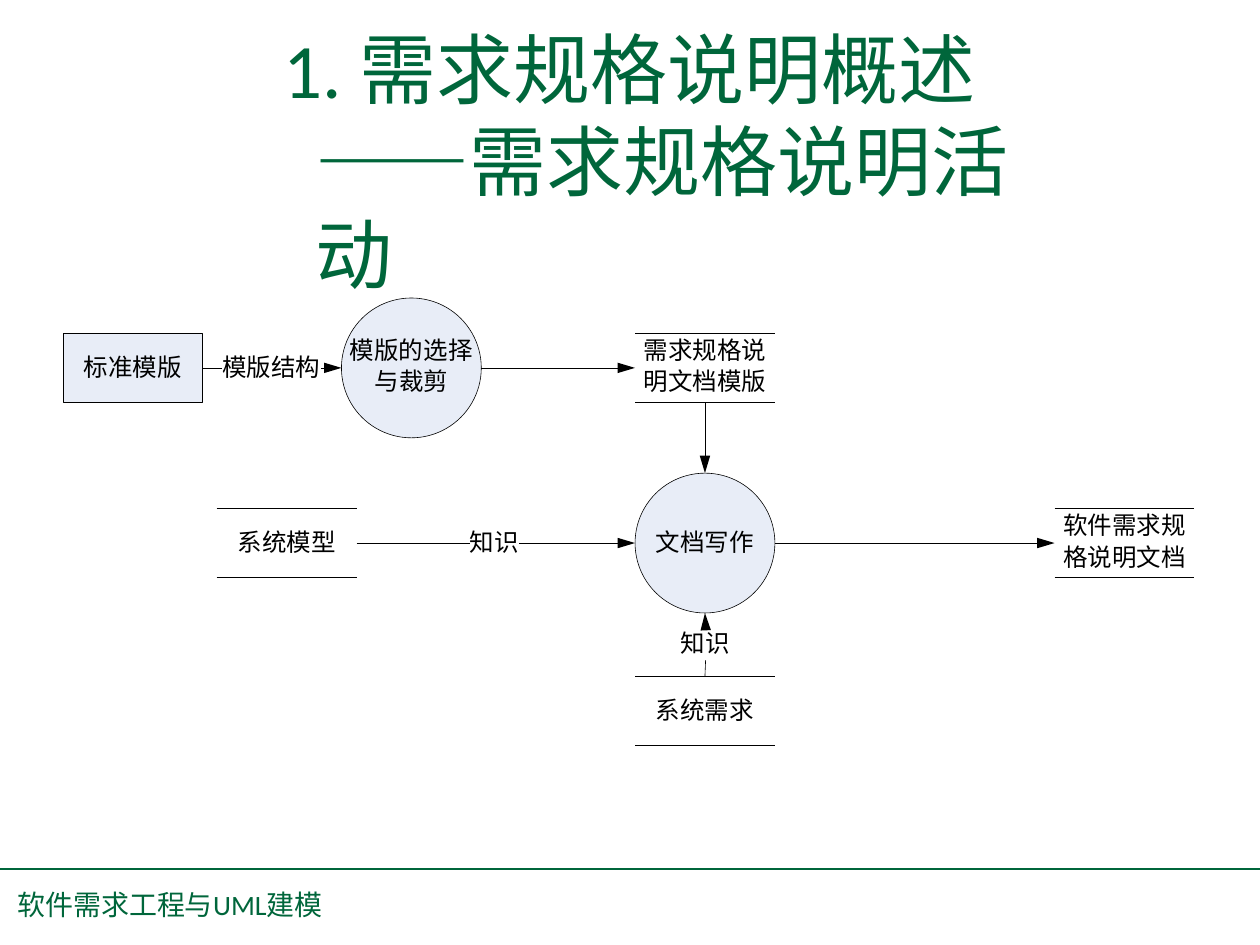
from lxml import etree
from pptx import Presentation
from pptx.dml.color import RGBColor
from pptx.enum.shapes import MSO_CONNECTOR, MSO_SHAPE
from pptx.enum.text import MSO_ANCHOR, MSO_AUTO_SIZE, PP_ALIGN
from pptx.oxml.ns import qn
from pptx.util import Inches, Pt

GREEN = RGBColor(0x00, 0x66, 0x3B)
BLACK = RGBColor(0x00, 0x00, 0x00)
PALE_BLUE = RGBColor(0xE8, 0xED, 0xF7)
LATIN, CHINESE = "Calibri", "Noto Sans CJK SC"

TITLE = [  # left indent, runs
    (0.01, [("1. ", LATIN), ("需求规格说明概述", CHINESE)]),
    (0.26, [("——", LATIN), ("需求规格说明活动", CHINESE)]),
]
FOOTER = [("软件需求工程与", CHINESE), ("UML", LATIN), ("建模", CHINESE)]

NODE_WIDTH = 1.11
HEIGHTS = {"entity": 0.55, "process": 1.11, "store": 0.55}
NODES = {  # name: kind, left, middle, text
    "standard": ("entity", 0.5, 2.92, "标准模版"),
    "tailoring": ("process", 2.71, 2.92, "模版的选择\v与裁剪"),
    "template": ("store", 5.04, 2.92, "需求规格说\v明文档模版"),
    "model": ("store", 1.72, 4.31, "系统模型"),
    "writing": ("process", 5.04, 4.31, "文档写作"),
    "document": ("store", 8.37, 4.31, "软件需求规\v格说明文档"),
    "requirements": ("store", 5.04, 5.64, "系统需求"),
}
TOP, LEFT, BOTTOM, RIGHT = range(4)
FLOWS = [  # source, side, target, side, label, points where the label breaks the line
    ("standard", RIGHT, "tailoring", LEFT, "模版结构", ((1.76, 2.92), (2.55, 2.92))),
    ("tailoring", RIGHT, "template", LEFT, None, None),
    ("template", BOTTOM, "writing", TOP, None, None),
    ("model", RIGHT, "writing", LEFT, "知识", ((3.73, 4.31), (4.12, 4.31))),
    ("requirements", TOP, "writing", BOTTOM, "知识", ((5.6, 5.24), (5.6, 4.98))),
    ("writing", RIGHT, "document", LEFT, None, None),
]


def style_run(run, name, size, color):
    """Set the Latin font, and the Chinese font for East Asian characters."""
    run.font.name, run.font.size = name, Pt(size)
    run.font.color.rgb = color
    east_asian = etree.SubElement(run._r.get_or_add_rPr(), qn("a:ea"))
    east_asian.set("typeface", CHINESE)


def add_runs(paragraph, runs, size):
    for text, name in runs:
        run = paragraph.add_run()
        run.text = text
        style_run(run, name, size, GREEN)


def clear_margins(frame):
    frame.margin_left = frame.margin_right = 0
    frame.margin_top = frame.margin_bottom = 0


def set_diagram_text(shape, text):
    frame = shape.text_frame
    clear_margins(frame)
    frame.word_wrap = False
    frame.auto_size = MSO_AUTO_SIZE.NONE
    frame.vertical_anchor = MSO_ANCHOR.MIDDLE
    frame.text = text
    paragraph = frame.paragraphs[0]
    paragraph.alignment = PP_ALIGN.CENTER
    if len(paragraph.runs) > 1:
        paragraph.line_spacing = 1.08
        frame.margin_bottom = Inches(0.06)
    else:
        frame.margin_bottom = Inches(0.02)
    for run in paragraph.runs:
        style_run(run, CHINESE, 14, BLACK)


def add_line(slide, start, end, color=BLACK, width=0.34):
    line = slide.shapes.add_connector(
        MSO_CONNECTOR.STRAIGHT, *map(Inches, start + end))
    line.line.color.rgb = color
    line.line.width = Pt(width)
    etree.SubElement(line._element.spPr, qn("a:effectLst"))
    return line


def add_node(slide, kind, left, middle, text):
    height = HEIGHTS[kind]
    top = middle - height / 2
    box = [Inches(value) for value in (left, top, NODE_WIDTH, height)]
    if kind == "store":
        for y in (top, top + height):
            add_line(slide, (left, y), (left + NODE_WIDTH, y))
        shape = slide.shapes.add_textbox(*box)
    else:
        preset = MSO_SHAPE.OVAL if kind == "process" else MSO_SHAPE.RECTANGLE
        shape = slide.shapes.add_shape(preset, *box)
        shape.shadow.inherit = False
        shape.fill.solid()
        shape.fill.fore_color.rgb = PALE_BLUE
        shape.line.color.rgb = BLACK
        shape.line.width = Pt(0.34)
    set_diagram_text(shape, text)
    return shape


def side_point(name, side):
    kind, left, middle, _ = NODES[name]
    half_width, half_height = NODE_WIDTH / 2, HEIGHTS[kind] / 2
    dx, dy = {TOP: (0, -1), LEFT: (-1, 0), BOTTOM: (0, 1), RIGHT: (1, 0)}[side]
    return left + half_width * (1 + dx), middle + half_height * dy


def add_flow(slide, shapes, source, source_side, target, target_side, label, gap):
    start = side_point(source, source_side)
    end = side_point(target, target_side)
    if gap:
        first = add_line(slide, start, gap[0])
        last = add_line(slide, gap[1], end)
        add_label(slide, label, *gap)
    else:
        first = last = add_line(slide, start, end)
    if NODES[source][0] != "process":
        first.begin_connect(shapes[source], source_side)
    if NODES[target][0] != "process":
        last.end_connect(shapes[target], target_side)
    arrow = etree.SubElement(last.line._get_or_add_ln(), qn("a:tailEnd"))
    for key, value in (("type", "triangle"), ("w", "med"), ("len", "lg")):
        arrow.set(key, value)


def add_label(slide, text, start, end):
    """Centre a label in the gap of its flow line."""
    width, height = 0.2 * len(text), 0.26
    x, y = (start[0] + end[0]) / 2, (start[1] + end[1]) / 2
    label = slide.shapes.add_textbox(
        Inches(x - width / 2), Inches(y - height / 2),
        Inches(width), Inches(height))
    set_diagram_text(label, text)


def fill_title(title):
    title.left, title.top = Inches(2.24), Inches(0.15)
    title.width, title.height = Inches(6.28), Inches(1.5)
    frame = title.text_frame
    clear_margins(frame)
    frame.margin_top = Inches(0.02)
    frame.word_wrap = True
    frame.auto_size = MSO_AUTO_SIZE.SHAPE_TO_FIT_TEXT
    frame.vertical_anchor = MSO_ANCHOR.TOP
    for index, (indent, runs) in enumerate(TITLE):
        paragraph = frame.add_paragraph() if index else frame.paragraphs[0]
        paragraph.alignment = PP_ALIGN.LEFT
        paragraph._p.get_or_add_pPr().set("marL", str(Inches(indent)))
        add_runs(paragraph, runs, 44)


def add_footer(slide):
    add_line(slide, (0, 6.9), (10, 6.9), GREEN, 1.25)
    footer = slide.shapes.add_textbox(
        Inches(0.14), Inches(7.08), Inches(2.44), Inches(0.26))
    frame = footer.text_frame
    clear_margins(frame)
    frame.word_wrap = True
    paragraph = frame.paragraphs[0]
    paragraph.line_spacing = Pt(16.4)
    add_runs(paragraph, FOOTER, 16)


def main():
    presentation = Presentation()
    presentation.slide_width, presentation.slide_height = Inches(10), Inches(7.5)
    slide = presentation.slides.add_slide(presentation.slide_layouts[5])
    fill_title(slide.shapes.title)
    shapes = {name: add_node(slide, *node) for name, node in NODES.items()}
    for flow in FLOWS:
        add_flow(slide, shapes, *flow)
    add_footer(slide)
    presentation.save("out.pptx")


if __name__ == "__main__":
    main()
